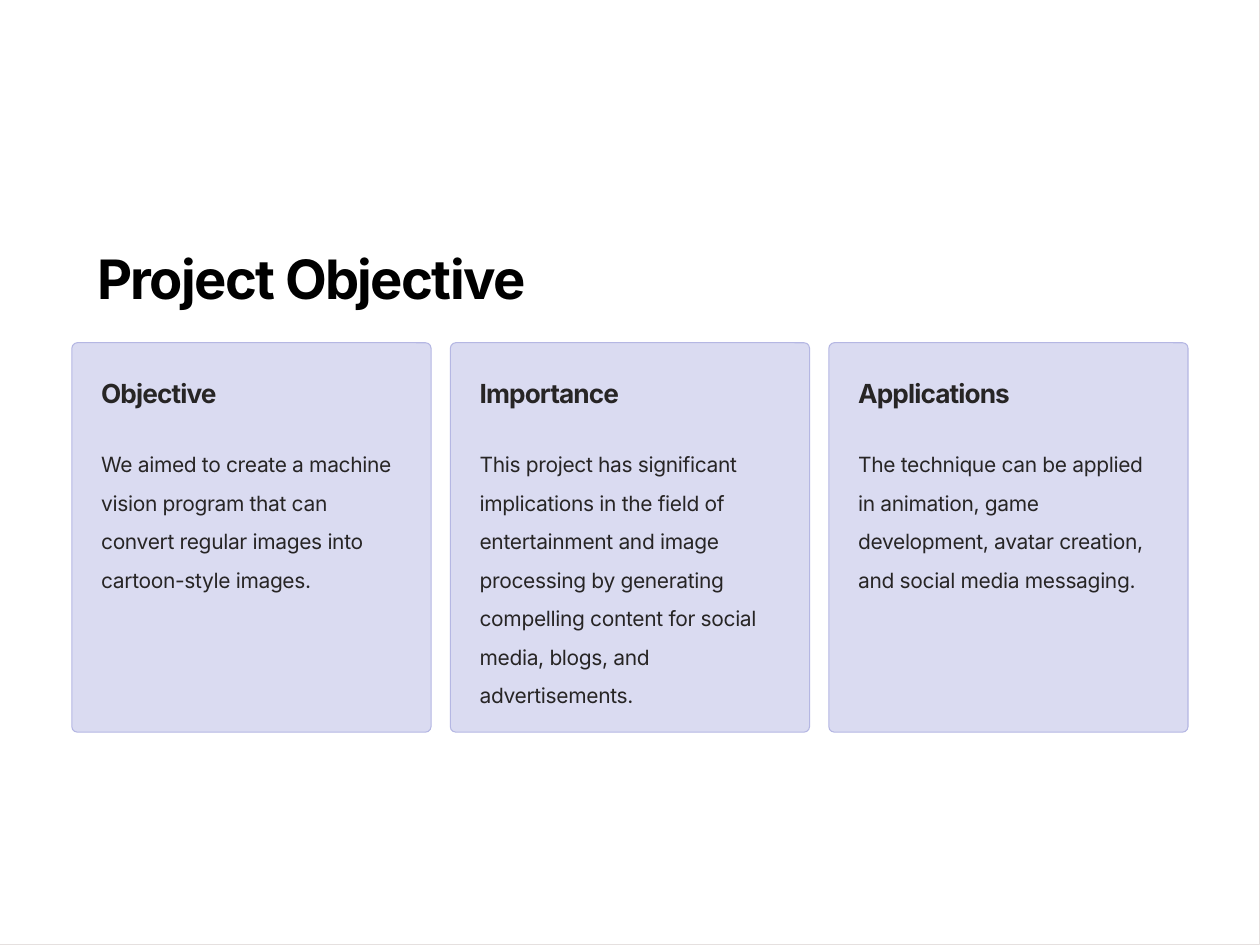
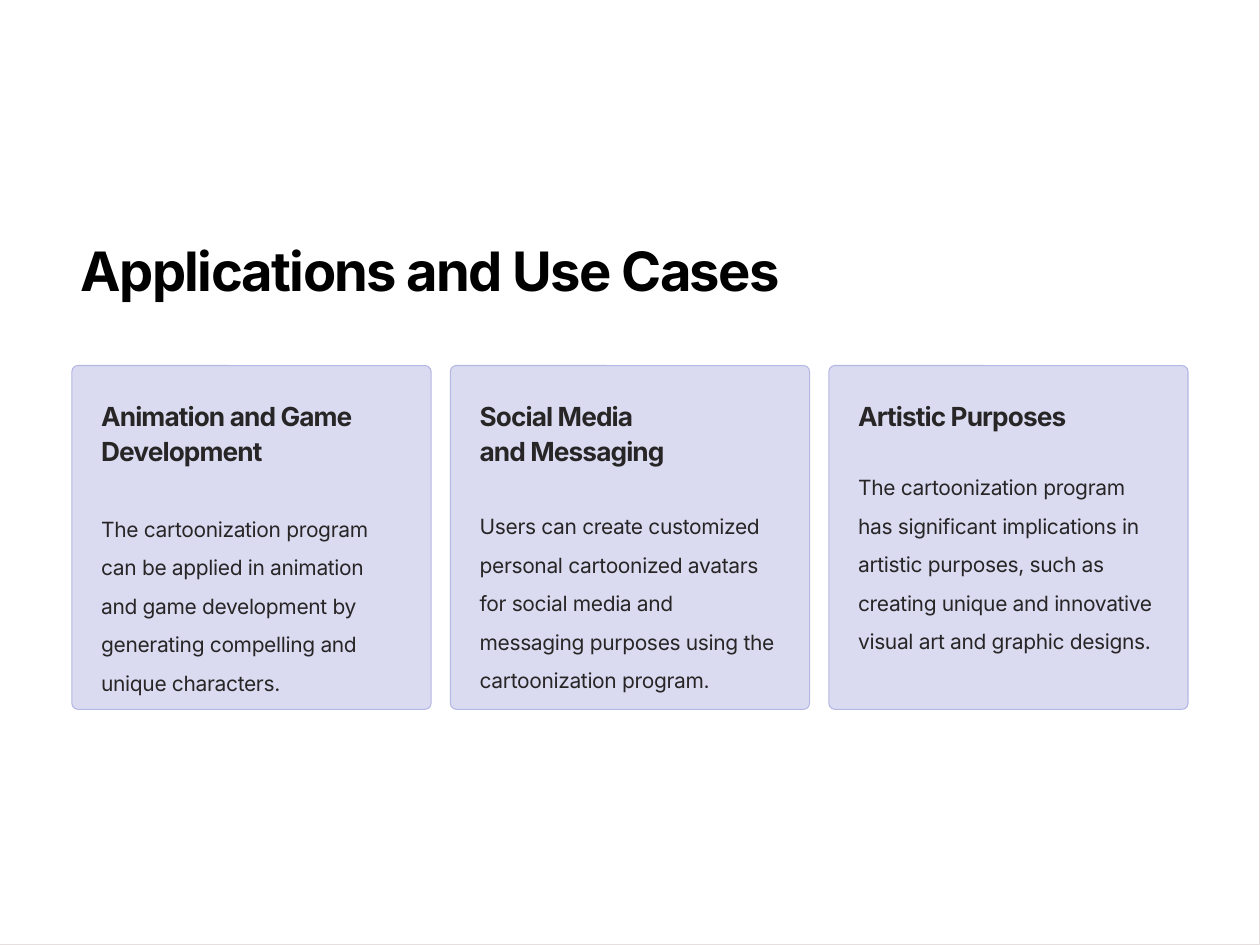
"""Build two slides that each show a title above a row of three cards."""
from dataclasses import dataclass

from pptx import Presentation
from pptx.dml.color import RGBColor
from pptx.enum.shapes import MSO_SHAPE
from pptx.enum.text import MSO_ANCHOR, MSO_AUTO_SIZE, PP_ALIGN
from pptx.oxml.ns import qn
from pptx.shapes.autoshape import Shape
from pptx.slide import Slide
from pptx.util import Cm, Pt


@dataclass(frozen=True)
class TextStyle:
    size: float
    line_spacing: float
    letter_spacing: float
    color: str
    bold: bool = False


@dataclass(frozen=True)
class Theme:
    font: str = "Inter"
    page: str = "FFFFFF"
    page_line: str = "E5E0DF"
    card: str = "DADBF1"
    card_line: str = "B5B7E3"
    line_width: float = 0.6
    title: TextStyle = TextStyle(31, 39.8, -0.9, "000000", True)
    heading: TextStyle = TextStyle(15, 19.9, -0.5, "272525", True)
    body: TextStyle = TextStyle(12, 22, -0.2, "272525")


@dataclass(frozen=True)
class Card:
    heading: str
    body: str
    body_height: float
    heading_height: float = 0.84
    body_offset: float = 1.83


@dataclass(frozen=True)
class CardSlide:
    title: str
    title_box: tuple[float, float, float, float]
    card_top: float
    card_height: float
    cards: tuple[Card, ...]


THEME = Theme()
PAGE_WIDTH, PAGE_HEIGHT = 25.4, 19.05
CARD_LEFT, CARD_WIDTH, CARD_PITCH = 1.45, 7.24, 7.63
CARD_RADIUS = 0.12
TEXT_OFFSET, TEXT_WIDTH, HEADING_OFFSET = 0.41, 6.45, 0.53
FRAME_FORMAT = {
    "margin_left": Cm(0.18),
    "margin_right": Cm(0.18),
    "margin_top": Cm(0.1),
    "margin_bottom": Cm(0.1),
    "vertical_anchor": MSO_ANCHOR.TOP,
    "auto_size": MSO_AUTO_SIZE.NONE,
}

SLIDES = (
    CardSlide("Project Objective", (1.78, 4.75, 9.2, 1.78), 6.91, 7.85, (
        Card("Objective",
             "We aimed to create a machine vision program that can convert "
             "regular images into cartoon-style images.", 2.77),
        Card("Importance",
             "This project has significant implications in the field of "
             "entertainment and image processing by generating compelling "
             "content for social media, blogs, and advertisements.", 5.51),
        Card("Applications",
             "The technique can be applied in animation, game development, "
             "avatar creation, and social media messaging.", 3.68),
    )),
    CardSlide("Applications and Use Cases", (1.45, 4.6, 14.6, 1.65), 7.37, 6.93, (
        Card("Animation and Game Development",
             "The cartoonization program can be applied in animation and game "
             "development by generating compelling and unique characters.",
             3.68, 1.65, 2.67),
        Card("Social Media\nand Messaging",
             "Users can create customized personal cartoonized avatars for "
             "social media and messaging purposes using the cartoonization "
             "program.", 3.81, 1.65, 2.62),
        Card("Artistic Purposes",
             "The cartoonization program has significant implications in "
             "artistic purposes, such as creating unique and innovative "
             "visual art and graphic designs.", 4.6),
    )),
)


def set_attributes(target: object, values: dict[str, object]) -> None:
    """Set every named attribute on the target."""
    for name, value in values.items():
        setattr(target, name, value)


def write_text(shape: Shape, text: str, style: TextStyle, wrap: bool = True) -> None:
    """Fill a shape with text in the given style."""
    frame = shape.text_frame
    frame.text = text
    set_attributes(frame, FRAME_FORMAT | {"word_wrap": wrap})
    for paragraph in frame.paragraphs:
        set_attributes(paragraph, {
            "alignment": PP_ALIGN.LEFT,
            "line_spacing": Pt(style.line_spacing),
        })
        for run in paragraph.runs:
            set_attributes(run.font, {
                "name": THEME.font,
                "size": Pt(style.size),
                "bold": style.bold,
            })
            run.font.color.rgb = RGBColor.from_string(style.color)
    for properties in shape.element.iter(qn("a:rPr")):
        properties.set("spc", str(round(style.letter_spacing * 100)))


def add_panel(slide: Slide, kind: MSO_SHAPE, box: tuple[float, float, float, float],
              fill: str, line: str) -> Shape:
    """Add a filled and outlined shape."""
    shape = slide.shapes.add_shape(kind, *map(Cm, box))
    shape.shadow.inherit = False
    shape.fill.solid()
    shape.fill.fore_color.rgb = RGBColor.from_string(fill)
    shape.line.color.rgb = RGBColor.from_string(line)
    shape.line.width = Pt(THEME.line_width)
    return shape


def add_card(slide: Slide, card: Card, left: float, top: float, height: float) -> None:
    """Draw one card with its heading and body."""
    panel = add_panel(slide, MSO_SHAPE.ROUNDED_RECTANGLE,
                      (left, top, CARD_WIDTH, height), THEME.card, THEME.card_line)
    panel.adjustments[0] = CARD_RADIUS / height
    for text, style, offset, text_height in (
        (card.heading, THEME.heading, HEADING_OFFSET, card.heading_height),
        (card.body, THEME.body, card.body_offset, card.body_height),
    ):
        box = (left + TEXT_OFFSET, top + offset, TEXT_WIDTH, text_height)
        write_text(slide.shapes.add_textbox(*map(Cm, box)), text, style)


def add_card_slide(presentation: Presentation, content: CardSlide) -> None:
    """Add a slide with its page frame, title and cards."""
    slide = presentation.slides.add_slide(presentation.slide_layouts[5])
    title = slide.shapes.title
    page = add_panel(slide, MSO_SHAPE.RECTANGLE, (0, 0, PAGE_WIDTH, PAGE_HEIGHT),
                     THEME.page, THEME.page_line)
    title.element.addprevious(page.element)
    set_attributes(title, dict(zip(("left", "top", "width", "height"),
                                   map(Cm, content.title_box))))
    write_text(title, content.title, THEME.title, wrap=False)
    for index, card in enumerate(content.cards):
        add_card(slide, card, CARD_LEFT + index * CARD_PITCH,
                 content.card_top, content.card_height)


def main() -> None:
    """Create and save the presentation."""
    presentation = Presentation()
    set_attributes(presentation, {
        "slide_width": Cm(PAGE_WIDTH),
        "slide_height": Cm(PAGE_HEIGHT),
    })
    for content in SLIDES:
        add_card_slide(presentation, content)
    presentation.save("out.pptx")


if __name__ == "__main__":
    main()
